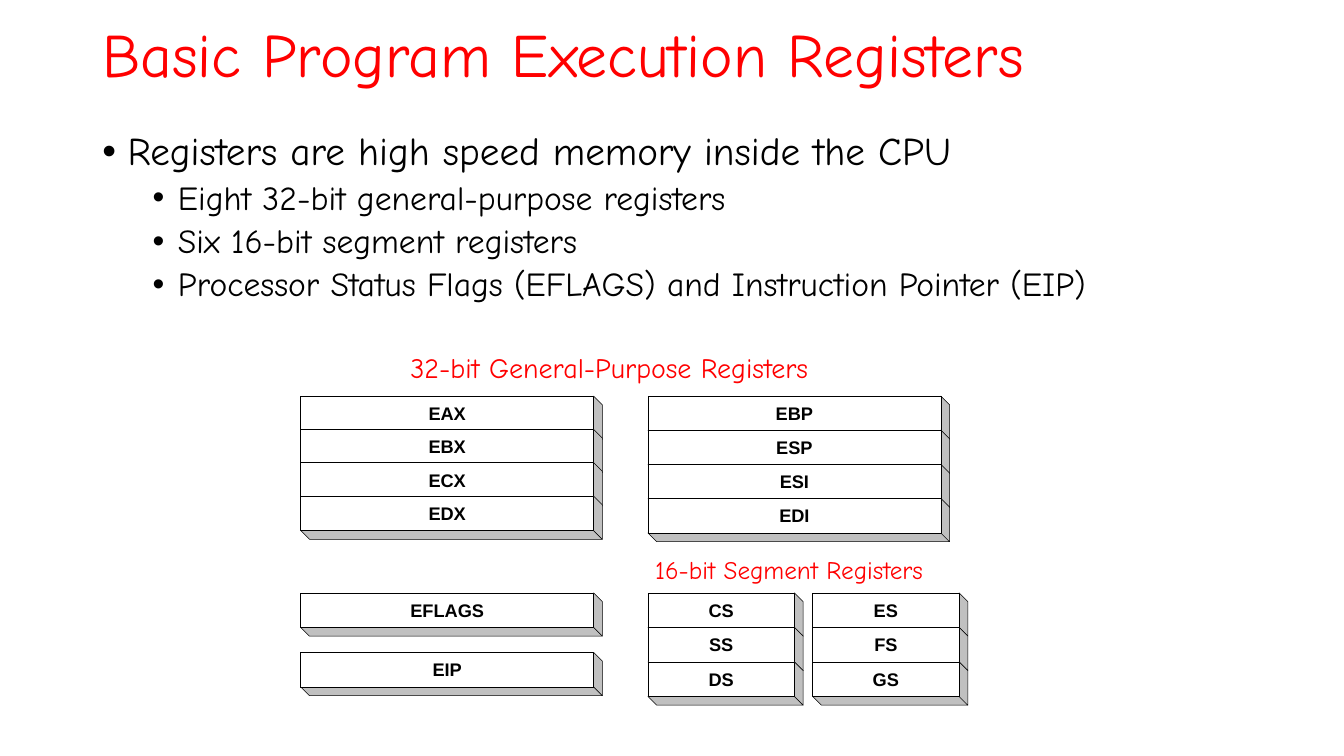
from lxml.etree import SubElement
from pptx import Presentation
from pptx.dml.color import RGBColor
from pptx.enum.shapes import MSO_SHAPE
from pptx.enum.text import MSO_ANCHOR, PP_ALIGN
from pptx.oxml.ns import qn
from pptx.util import Cm, Pt

HUES = {"red": "FF0000", "ink": "000000", "face": "FFFFFF", "side": "C0C0C0"}
FONT = "Comic Neue"
ROW = 0.87
DEPTH = 0.22
BODY = [
    (0, "Registers are high speed memory inside the CPU"),
    (1, "Eight 32-bit general-purpose registers"),
    (1, "Six 16-bit segment registers"),
    (1, "Processor Status Flags (EFLAGS) and Instruction Pointer (EIP)"),
]
STACKS = [
    (16.33, 14.94, 3.69, 0.87, ["CS", "SS", "DS"]),
    (20.48, 14.94, 3.69, 0.87, ["ES", "FS", "GS"]),
    (7.58, 14.94, 7.38, 1.5, ["EFLAGS", "EIP"]),
    (7.58, 9.98, 7.38, 0.84, ["EAX", "EBX", "ECX", "EDX"]),
    (16.33, 9.98, 7.38, 0.86, ["EBP", "ESP", "ESI", "EDI"]),
]


def hue(name):
    return RGBColor.from_string(HUES[name])


def write(para, text, size=13, font=FONT, color="ink", bold=False, align=PP_ALIGN.LEFT):
    para.alignment = align
    run = para.add_run()
    run.text = text
    run.font.size = Pt(size)
    run.font.name = font
    run.font.bold = bold
    run.font.color.rgb = hue(color)


def trim(frame):
    frame.margin_left = frame.margin_right = 0
    frame.margin_top = frame.margin_bottom = 0


def add_box(slide, left, top, width, height):
    box = slide.shapes.add_textbox(Cm(left), Cm(top), Cm(width), Cm(height))
    box.text_frame.word_wrap = True
    return box.text_frame


def add_title(slide, text):
    frame = add_box(slide, 2.33, 0.33, 29.21, 2.26)
    frame.vertical_anchor = MSO_ANCHOR.MIDDLE
    para = frame.paragraphs[0]
    para.line_spacing = 0.9
    write(para, text, size=44, color="red")


def add_label(slide, text, left, top, width, size):
    frame = add_box(slide, left, top, width, 0.85)
    trim(frame)
    write(frame.paragraphs[0], text, size=size, color="red")


def add_list(slide, items):
    frame = add_box(slide, 2.33, 3.2, 29.21, 15.21)
    for i, (level, text) in enumerate(items):
        para = frame.add_paragraph() if i else frame.paragraphs[0]
        para.level = level
        para.line_spacing = 0.9
        para.space_before = Pt(5 if level else 10)
        write(para, text, size=24 if level else 28)
        props = para._p.get_or_add_pPr()
        props.set("marL", str(Cm(0.635 + 1.27 * level)))
        props.set("indent", str(-Cm(0.635)))
        SubElement(props, qn("a:buFont"), typeface="Arial")
        SubElement(props, qn("a:buChar"), char="•")


def paint(shape, color):
    shape.shadow.inherit = False
    shape.fill.solid()
    shape.fill.fore_color.rgb = hue(color)
    shape.line.color.rgb = hue("ink")
    shape.line.width = Pt(0.38)


def add_side(slide, points):
    spots = [(Cm(x), Cm(y)) for x, y in points]
    form = slide.shapes.build_freeform(*spots[0], scale=1.0)
    form.add_line_segments(spots[1:], close=True)
    paint(form.convert_to_shape(), "side")


def add_slab(slide, left, top, width, name):
    right, base = left + width, top + ROW
    edge, foot = right + DEPTH, base + DEPTH
    add_side(slide, [(right, base), (left, base), (left + DEPTH, foot), (edge, foot)])
    add_side(slide, [(edge, foot), (right, base), (right, top), (edge, top + DEPTH)])
    face = slide.shapes.add_shape(
        MSO_SHAPE.RECTANGLE, Cm(left), Cm(top), Cm(width), Cm(ROW))
    paint(face, "face")
    frame = face.text_frame
    trim(frame)
    frame.vertical_anchor = MSO_ANCHOR.MIDDLE
    write(frame.paragraphs[0], name, font="Arial", bold=True, align=PP_ALIGN.CENTER)


def add_stack(slide, left, top, width, step, names):
    for i, name in enumerate(names):
        add_slab(slide, left, top + i * step, width, name)


def main():
    """Build the slide on the basic program execution registers."""
    deck = Presentation()
    deck.slide_width, deck.slide_height = Cm(33.87), Cm(19.05)
    slide = deck.slides.add_slide(deck.slide_layouts[6])
    add_title(slide, "Basic Program Execution Registers")
    for stack in STACKS:
        add_stack(slide, *stack)
    add_label(slide, "32-bit General-Purpose Registers", 10.34, 8.84, 12.09, 20)
    add_label(slide, "16-bit Segment Registers", 16.51, 13.97, 8.31, 18)
    add_list(slide, BODY)
    deck.save("out.pptx")


if __name__ == "__main__":
    main()
